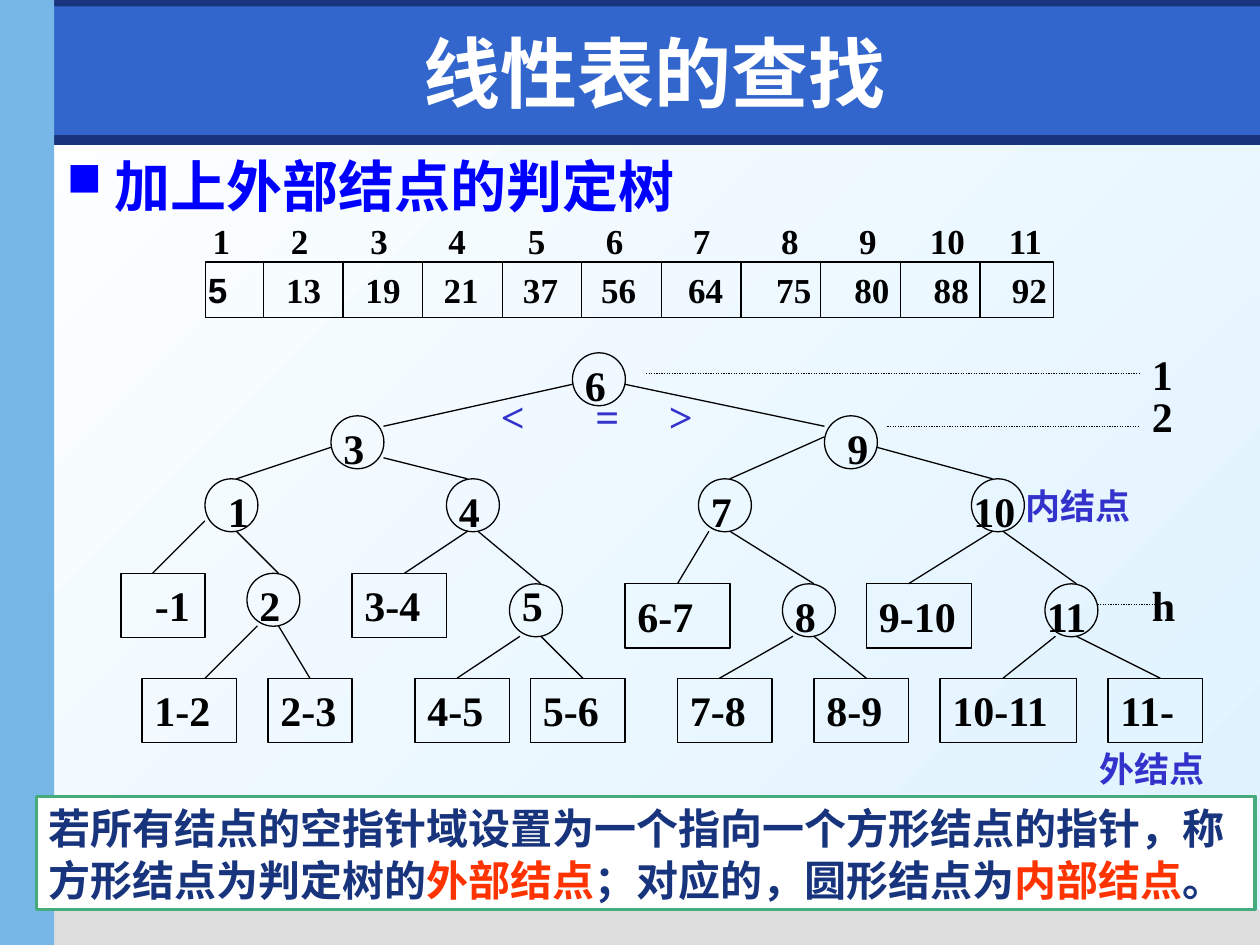
from lxml import etree
from pptx import Presentation
from pptx.dml.color import RGBColor
from pptx.enum.dml import MSO_LINE_DASH_STYLE as Dash
from pptx.enum.shapes import MSO_CONNECTOR as Conn, MSO_SHAPE as Kind
from pptx.enum.text import MSO_ANCHOR as Anchor, PP_ALIGN as Align
from pptx.oxml.ns import qn
from pptx.util import Inches, Pt

UNIT = 1 / 12  # tree grid step in inches
SERIF = "Times New Roman"
CJK = "Noto Sans CJK SC"
BLACK, NAVY, BLUE, RED, WHITE = "000000", "17347D", "3333CC", "FF3300", "FFFFFF"

# text, x, y, then label x, y and width, in grid units
NODES = [
    ("6", 43, 0, 43, 0, 6), ("3", 20, 6, 20, 6, 6), ("9", 67, 6, 68, 6, 8),
    ("1", 8, 12, 9, 12, 7), ("4", 31, 12, 31, 12, 6), ("7", 55, 12, 55, 12, 6),
    ("10", 81, 12, 80, 12, 8), ("2", 12, 21, 12, 21, 5), ("5", 37, 22, 37, 21, 7),
    ("8", 63, 22, 63, 22, 7), ("11", 88, 22, 87, 22, 7),
]
# text, x, y, width
LEAVES = [
    ("-1", 0, 21, 8), ("3-4", 22, 21, 9), ("6-7", 48, 22, 10), ("9-10", 71, 22, 10),
    ("1-2", 2, 31, 9), ("2-3", 14, 31, 8), ("4-5", 28, 31, 9), ("5-6", 39, 31, 9),
    ("7-8", 53, 31, 9), ("8-9", 66, 31, 9), ("10-11", 78, 31, 13), ("11-", 94, 31, 9),
]
# x1, y1, x2, y2
EDGES = [
    (43, 3, 25, 7), (48, 3, 67, 7),
    (20, 9, 11, 12), (25, 10, 33, 12), (67, 8, 58, 12), (72, 9, 83, 12),
    (8, 16, 3, 21), (11, 17, 15, 21), (33, 17, 27, 21), (34, 17, 40, 22),
    (56, 17, 53, 22), (58, 17, 66, 22), (83, 17, 75, 22), (84, 17, 91, 22),
    (13, 26, 8, 31), (15, 26, 18, 31), (38, 27, 32, 31), (40, 27, 44, 31),
    (64, 27, 57, 31), (66, 27, 71, 31), (89, 27, 84, 31), (91, 27, 99, 31),
]
GUIDES = [(50, 2, 97, 2), (73, 7, 97, 7), (93, 24, 99, 24)]
# text, x, y, width, height, size, colour
MARKS = [
    ("1", 97, -1, 6, 6, 24, BLACK), ("2", 97, 3, 7, 6, 24, BLACK),
    ("h", 97, 21, 6, 6, 24, BLACK),
    ("外结点", 92, 37, 13, 5.2, 20, BLUE), ("内结点", 85, 12, 13, 5.2, 20, BLUE),
    (">", 51, 3, 9, 6, 24, BLUE), ("<", 35, 3, 6, 6, 24, BLUE),
    ("=", 44, 3, 7, 6, 24, BLUE),
]
KEYS = [5, 13, 19, 21, 37, 56, 64, 75, 80, 88, 92]


def rgb(code):
    return RGBColor.from_string(code)


def box(slide, kind, at, fill=None, line=None, width=0.75):
    shape = slide.shapes.add_shape(kind, *map(Inches, at))
    shape.shadow.inherit = False
    if fill:
        shape.fill.solid()
        shape.fill.fore_color.rgb = rgb(fill)
    else:
        shape.fill.background()
    if line:
        shape.line.color.rgb = rgb(line)
        shape.line.width = Pt(width)
    else:
        shape.line.fill.background()
    return shape


def rule(slide, x1, y1, x2, y2, dash=None):
    line = slide.shapes.add_connector(Conn.STRAIGHT, *map(Inches, (x1, y1, x2, y2)))
    line.line.color.rgb = rgb(BLACK)
    line.line.width = Pt(0.75)
    if dash:
        line.line.dash_style = dash
    etree.SubElement(line._element.spPr, qn("a:effectLst"))


def write(shape, runs, size, font=SERIF, align=Align.LEFT, **frame):
    """Fill a shape with (text, colour) runs; frame holds text frame values."""
    text = shape.text_frame
    base = {"word_wrap": True, "vertical_anchor": Anchor.TOP, "margin_top": Inches(0.04)}
    for name, value in {**base, **frame}.items():
        setattr(text, name, value)
    para = text.paragraphs[0]
    para.alignment = align
    para.line_spacing = Pt(round(size * 1.23, 1))
    for words, color in runs:
        run = para.add_run()
        run.text = words
        for name, value in {"size": Pt(size), "name": font, "bold": True}.items():
            setattr(run.font, name, value)
        run.font.color.rgb = rgb(color)
    return para


def label(slide, at, words, size, color=BLACK, **style):
    shape = slide.shapes.add_textbox(*map(Inches, at))
    return write(shape, [(words, color)], size, **style)


def frame(slide):
    fill = slide.background.fill
    fill.gradient()
    fill.gradient_angle = 315
    for stop, color in zip(fill.gradient_stops, (WHITE, "DDF2FF")):
        stop.color.rgb = rgb(color)
    for at, color in [
        ((0.04, 1.07, 9.96, 0.08), NAVY), ((0.35, 7.22, 9.65, 0.28), "DDDDDD"),
        ((0, 0, 10, 0.21), NAVY), ((0.43, 0.05, 9.57, 1.02), "3366CC"),
        ((0, 0, 0.43, 7.5), "77B7E7"),
    ]:
        box(slide, Kind.RECTANGLE, at, color)


def heading(slide, at, words):
    para = label(slide, at, words, 32, "0000FF", font="Arial")
    props = para._p.get_or_add_pPr()
    props.set("marL", str(Inches(0.38)))
    props.set("indent", str(-Inches(0.38)))
    tint = etree.SubElement(props, qn("a:buClr"))
    etree.SubElement(tint, qn("a:srgbClr")).set("val", "0000FF")
    etree.SubElement(props, qn("a:buSzPct")).set("val", "85000")
    etree.SubElement(props, qn("a:buChar")).set("char", "■")


def tabs(para, stops):
    holder = etree.SubElement(para._p.get_or_add_pPr(), qn("a:tabLst"))
    for stop in stops:
        tab = etree.SubElement(holder, qn("a:tab"))
        tab.set("pos", str(Inches(round(stop, 2))))
        tab.set("algn", "ctr")


def array(slide, x, y, w, h):
    """Draw the key row with its index numbers above it."""
    stops = [0.69 + 0.626 * i + 0.065 * min(max(i - 4, 0), 2) for i in range(10)]
    row = "\t".join(map(str, range(1, len(KEYS) + 1)))
    tabs(label(slide, (x - 0.04, y - 0.39, w + 0.07, 0.43), row, 20, margin_right=0), stops)
    cells = box(slide, Kind.RECTANGLE, (x, y, w, h), line=BLACK)
    first, *rest = map(str, KEYS)
    para = write(cells, [(first, BLACK), ("\t" + "\t".join(rest), BLACK)], 20,
                 vertical_anchor=Anchor.MIDDLE, margin_left=Inches(0.02), margin_right=0)
    para.runs[0].font.name = "Arial"
    tabs(para, [stop + 0.07 for stop in stops])
    for i in range(10):
        left = x + 0.46 + 0.632 * i
        rule(slide, left, y, left, y + h)


def tree(slide, x, y):
    def spot(col, row):
        return x + col * UNIT, y + row * UNIT

    for words, col, row, *_ in NODES:
        box(slide, Kind.OVAL, (*spot(col, row), 0.42, 0.42), line=BLACK)
    for words, col, row, wide in LEAVES:
        leaf = box(slide, Kind.RECTANGLE, (*spot(col, row), wide * UNIT, 0.51), line=BLACK)
        inset = 0.27 if words == "-1" else 0.1
        write(leaf, [(words, BLACK)], 24, margin_left=Inches(inset))
    for lines, dash in ((EDGES, None), (GUIDES, Dash.ROUND_DOT)):
        for x1, y1, x2, y2 in lines:
            rule(slide, *spot(x1, y1), *spot(x2, y2), dash)
    names = [(words, *at, 6, 24, BLACK) for words, _, _, *at in NODES]
    for words, col, row, wide, high, size, color in names + MARKS:
        label(slide, (*spot(col, row), wide * UNIT, high * UNIT), words, size, color)


def note(slide, at):
    panel = box(slide, Kind.RECTANGLE, at, WHITE, "45AB7D", 2)
    write(panel, [
        ("若所有结点的空指针域设置为一个指向一个方形结点的指针，称方形结点为判定树的", NAVY),
        ("外部结点", RED), ("；对应的，圆形结点为", NAVY), ("内部结点", RED), ("。", NAVY),
    ], 24, CJK)


def main():
    deck = Presentation()
    deck.slide_width, deck.slide_height = Inches(10), Inches(7.5)
    slide = deck.slides.add_slide(deck.slide_layouts[6])
    frame(slide)
    label(slide, (0.59, 0.13, 9.21, 0.87), "线性表的查找", 44, WHITE, font="DejaVu Sans",
          align=Align.CENTER, vertical_anchor=Anchor.MIDDLE)
    heading(slide, (0.43, 1.15, 9.37, 5.9), "加上外部结点的判定树")
    tree(slide, 0.96, 2.8)
    array(slide, 1.63, 2.08, 6.73, 0.44)
    note(slide, (0.29, 6.32, 9.67, 0.9))
    deck.save("out.pptx")


if __name__ == "__main__":
    main()
